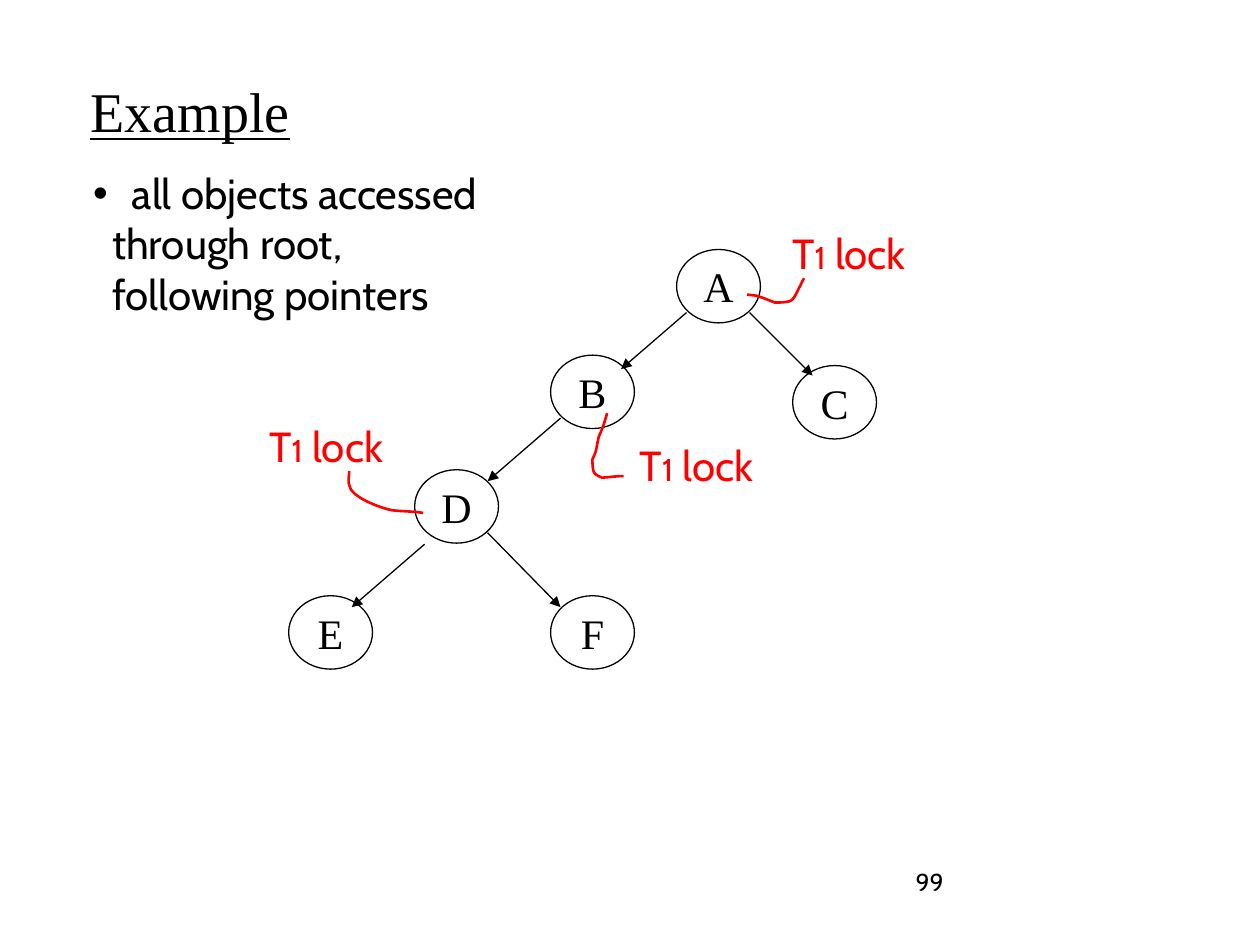
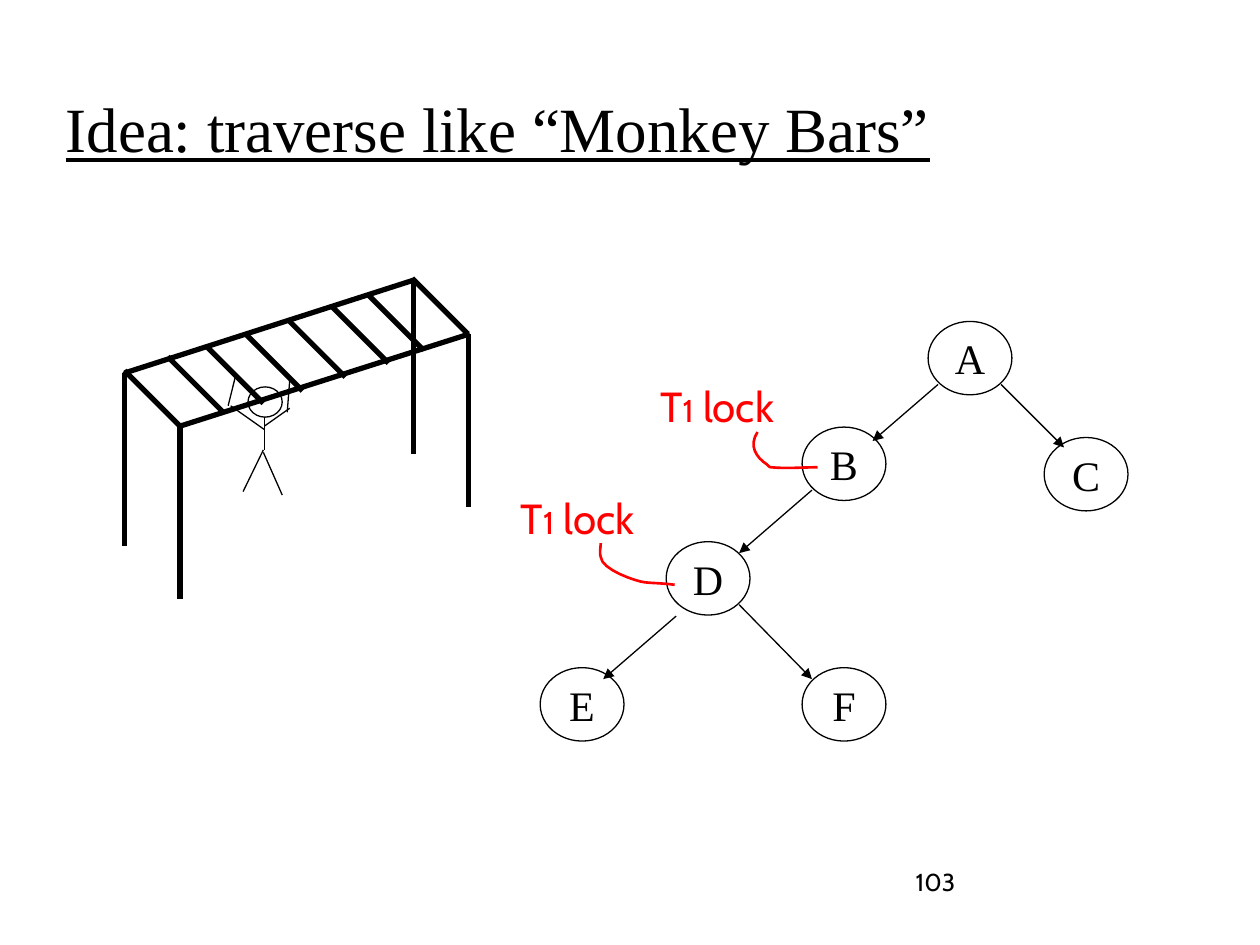
"""Build two slides on locking a tree of objects while traversing it."""
from lxml import etree
from pptx import Presentation
from pptx import util as u
from pptx.dml.color import RGBColor
from pptx.enum import shapes, text
from pptx.oxml.ns import qn

SERIF, SANS = "Times New Roman", "Cabin"
BLACK, WHITE, RED = "000000", "FFFFFF", "FF0000"
THIN, LOCK_WIDTH, BAR_WIDTH = 0.75, 1.5, 3

BULLET_LINES = ["all objects accessed", "through root,", "following pointers"]
LOCK_LABEL = [("T", 24), ("1", 18), (" lock", 24)]

NODE_SIZE = (1.69, 1.48)
NODES = {"A": (13.64, 5.03), "B": (11.1, 7.16), "C": (15.98, 7.37),
         "D": (8.36, 9.47), "E": (5.82, 12.01), "F": (11.1, 12.01)}
EDGES = [("A", (0.2, 1.27), "B", (1.42, 0.28)),
         ("B", (0.2, 1.27), "D", (1.47, 0.23)),
         ("D", (0.2, 1.5), "E", (1.27, 0.23)),
         ("D", (1.47, 1.27), "F", (0.2, 0.23)),
         ("A", (1.47, 1.27), "C", (0.4, 0.2))]

LOCK_A = ((15.54, 4.45), [
    (15.06, 5.94), (15.29, 5.97), (15.19, 5.94), (15.42, 6.02),
    (15.49, 6.05), (15.62, 6.1), (15.62, 6.1),
    (15.72, 6.1), (15.82, 6.1), (15.93, 6.07),
    (16.03, 6.02), (16.08, 5.84), (16.13, 5.77),
    (16.18, 5.66), (16.15, 5.72), (16.21, 5.61)])
LOCK_B_BELOW = ((12.47, 8.74), [
    (12.24, 8.33), (12.19, 8.51), (12.14, 8.66), (12.07, 8.81),
    (11.99, 9.19), (12.04, 9.04), (11.94, 9.27),
    (11.96, 9.53), (11.94, 9.55), (12.14, 9.63),
    (12.52, 9.6), (12.4, 9.6), (12.57, 9.6)])
LOCK_B_ABOVE = ((7.81, 6.09), [
    (10.2, 7.26), (10.02, 7.54), (10.17, 7.77), (10.4, 7.92),
    (10.42, 7.95), (10.45, 7.97), (10.47, 7.97),
    (10.78, 8.0), (11.11, 7.97), (11.41, 7.97)])
LOCK_D = ((5.0, 8.36), [
    (8.53, 10.34), (8.33, 10.31), (8.13, 10.31), (7.92, 10.29),
    (7.72, 10.26), (7.06, 10.03), (7.04, 9.78),
    (7.01, 9.68), (7.04, 9.6), (7.04, 9.5)])

SLIDES = [
    {"title": "Example", "title_box": (1.57, 1.27, 21.59, 2.01),
     "title_size": 32, "title_inset": 0.28, "number": "99",
     "tree_shift": (0, 0), "locks": [LOCK_A, LOCK_B_BELOW, LOCK_D]},
    {"title": "Idea: traverse like “Monkey Bars”", "title_box": (1.07, 1.14, 21.59, 2.57),
     "title_size": 36, "title_inset": 0.67, "number": "103",
     "tree_shift": (5.07, 1.45), "locks": [LOCK_D, LOCK_B_ABOVE]},
]

HEAD = (5.0, 7.8, 0.69, 0.61)
LIMBS = [((5.33, 8.41), (5.33, 9.07)), ((5.31, 9.07), (4.9, 9.91)),
         ((5.31, 9.12), (5.69, 9.98)), ((5.33, 8.66), (4.65, 8.18)),
         ((4.6, 8.18), (4.75, 7.57)), ((5.33, 8.59), (5.84, 8.23)),
         ((5.79, 8.31), (5.84, 7.67))]
POST_TOPS = [(3.63, 8.59), (9.45, 6.73), (2.51, 7.52), (8.33, 5.66)]
POST_DROP = (0, 3.49)
RAILS = [((9.47, 6.73), (3.63, 8.59)), ((8.36, 5.64), (2.51, 7.52))]
RUNG_STARTS = [(2.51, 7.47), (3.38, 7.19), (4.19, 7.01), (4.98, 6.76),
               (5.84, 6.48), (6.71, 6.2), (7.42, 5.94), (8.31, 5.61)]
RUNG_STEP = (1.12, 1.12)


def color(value):
    return RGBColor.from_string(value)


def lengths(values):
    return [u.Cm(value) for value in values]


def shifted(point, step):
    return point[0] + step[0], point[1] + step[1]


def style_font(font, name, size, hue=BLACK):
    font.name, font.size = name, u.Pt(size)
    font.color.rgb = color(hue)


def style_line(line, width, hue=BLACK):
    line.width = u.Pt(width)
    line.color.rgb = color(hue)


def add_line(slide, start, end, width, arrow=False):
    connector = slide.shapes.add_connector(
        shapes.MSO_CONNECTOR.STRAIGHT, *lengths(start), *lengths(end))
    style_line(connector.line, width)
    properties = connector._element.spPr
    if arrow:
        etree.SubElement(properties.find(qn("a:ln")), qn("a:tailEnd"), type="triangle")
    etree.SubElement(properties, qn("a:effectLst"))


def add_ellipse(slide, box):
    ellipse = slide.shapes.add_shape(shapes.MSO_SHAPE.OVAL, *lengths(box))
    ellipse.shadow.inherit = False
    ellipse.fill.solid()
    ellipse.fill.fore_color.rgb = color(WHITE)
    style_line(ellipse.line, THIN)
    return ellipse


def add_text_box(slide, box, align, anchor=text.MSO_ANCHOR.MIDDLE):
    frame = slide.shapes.add_textbox(*lengths(box)).text_frame
    frame.word_wrap = True
    frame.vertical_anchor = anchor
    frame.paragraphs[0].alignment = align
    return frame


def add_title(slide, content):
    title = slide.shapes.title
    title.left, title.top, title.width, title.height = lengths(content["title_box"])
    frame = title.text_frame
    frame.text = content["title"]
    frame.auto_size = text.MSO_AUTO_SIZE.NONE
    frame.vertical_anchor = text.MSO_ANCHOR.TOP
    frame.margin_top = u.Cm(content["title_inset"])
    paragraph = frame.paragraphs[0]
    paragraph.alignment = text.PP_ALIGN.LEFT
    style_font(paragraph.font, SERIF, content["title_size"])
    paragraph.font.underline = True


def add_number(slide, number):
    frame = add_text_box(slide, (18.21, 17.35, 5.28, 1.27),
                         text.PP_ALIGN.RIGHT, text.MSO_ANCHOR.TOP)
    frame.text = number
    style_font(frame.paragraphs[0].font, SANS, 14)


def add_bullet_text(slide):
    frame = add_text_box(slide, (1.63, 3.25, 8.81, 3.3), text.PP_ALIGN.LEFT)
    frame.text = "\n".join(BULLET_LINES)
    for index, paragraph in enumerate(frame.paragraphs):
        properties = paragraph._p.get_or_add_pPr()
        margin = u.Cm(0.38 if index else 0.78)
        properties.set("marL", str(margin))
        if index == 0:
            properties.set("indent", str(-margin))
            etree.SubElement(properties, qn("a:buFont"), typeface="Arial")
            etree.SubElement(properties, qn("a:buChar"), char="•")
        style_font(paragraph.font, SANS, 24)


def add_tree(slide, shift):
    for name, corner in NODES.items():
        frame = add_ellipse(slide, shifted(corner, shift) + NODE_SIZE).text_frame
        frame.text = name
        frame.word_wrap = False
        frame.vertical_anchor = text.MSO_ANCHOR.MIDDLE
        paragraph = frame.paragraphs[0]
        paragraph.alignment = text.PP_ALIGN.CENTER
        style_font(paragraph.font, SERIF, 24)
    for parent, leave, child, arrive in EDGES:
        start, end = shifted(NODES[parent], leave), shifted(NODES[child], arrive)
        add_line(slide, shifted(start, shift), shifted(end, shift), THIN, arrow=True)


def curve_points(controls, steps=8):
    points = [controls[0]]
    for first in range(0, len(controls) - 1, 3):
        corners = controls[first:first + 4]
        for step in range(1, steps + 1):
            t = step / steps
            weights = ((1 - t) ** 3, 3 * t * (1 - t) ** 2, 3 * t * t * (1 - t), t ** 3)
            points.append(tuple(sum(weight * corner[axis] for weight, corner
                                    in zip(weights, corners)) for axis in (0, 1)))
    return points


def add_lock(slide, corner, controls, shift):
    frame = add_text_box(slide, shifted(corner, shift) + (3.15, 1.27),
                         text.PP_ALIGN.CENTER)
    frame.word_wrap = False
    for words, size in LOCK_LABEL:
        run = frame.paragraphs[0].add_run()
        run.text = words
        style_font(run.font, SANS, size, RED)
    start, *rest = [lengths(shifted(point, shift)) for point in curve_points(controls)]
    builder = slide.shapes.build_freeform(*start)
    builder.add_line_segments(rest, close=False)
    curve = builder.convert_to_shape()
    curve.shadow.inherit = False
    curve.fill.background()
    style_line(curve.line, LOCK_WIDTH, RED)


def add_monkey_bars(slide):
    add_ellipse(slide, HEAD)
    posts = [(top, shifted(top, POST_DROP)) for top in POST_TOPS]
    rungs = [(start, shifted(start, RUNG_STEP)) for start in RUNG_STARTS]
    for lines, width in ((LIMBS, THIN), (posts + RAILS + rungs, BAR_WIDTH)):
        for start, end in lines:
            add_line(slide, start, end, width)


def main():
    presentation = Presentation()
    presentation.slide_width, presentation.slide_height = lengths((25.4, 19.05))
    extras = (add_bullet_text, add_monkey_bars)
    for content, add_extra in zip(SLIDES, extras):
        slide = presentation.slides.add_slide(presentation.slide_layouts[5])
        add_title(slide, content)
        add_number(slide, content["number"])
        add_extra(slide)
        add_tree(slide, content["tree_shift"])
        for corner, controls in content["locks"]:
            add_lock(slide, corner, controls, content["tree_shift"])
    presentation.save("out.pptx")


if __name__ == "__main__":
    main()
